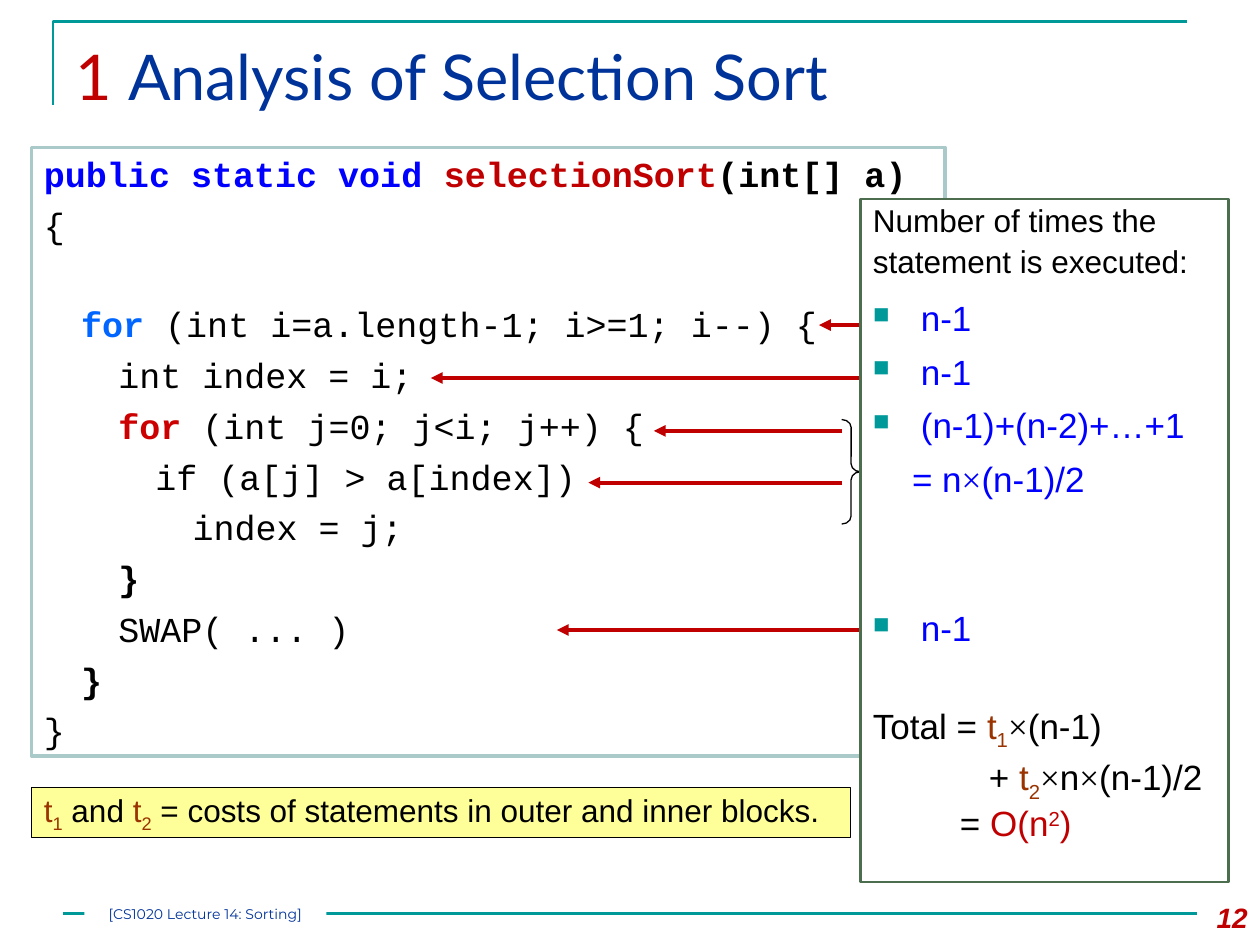
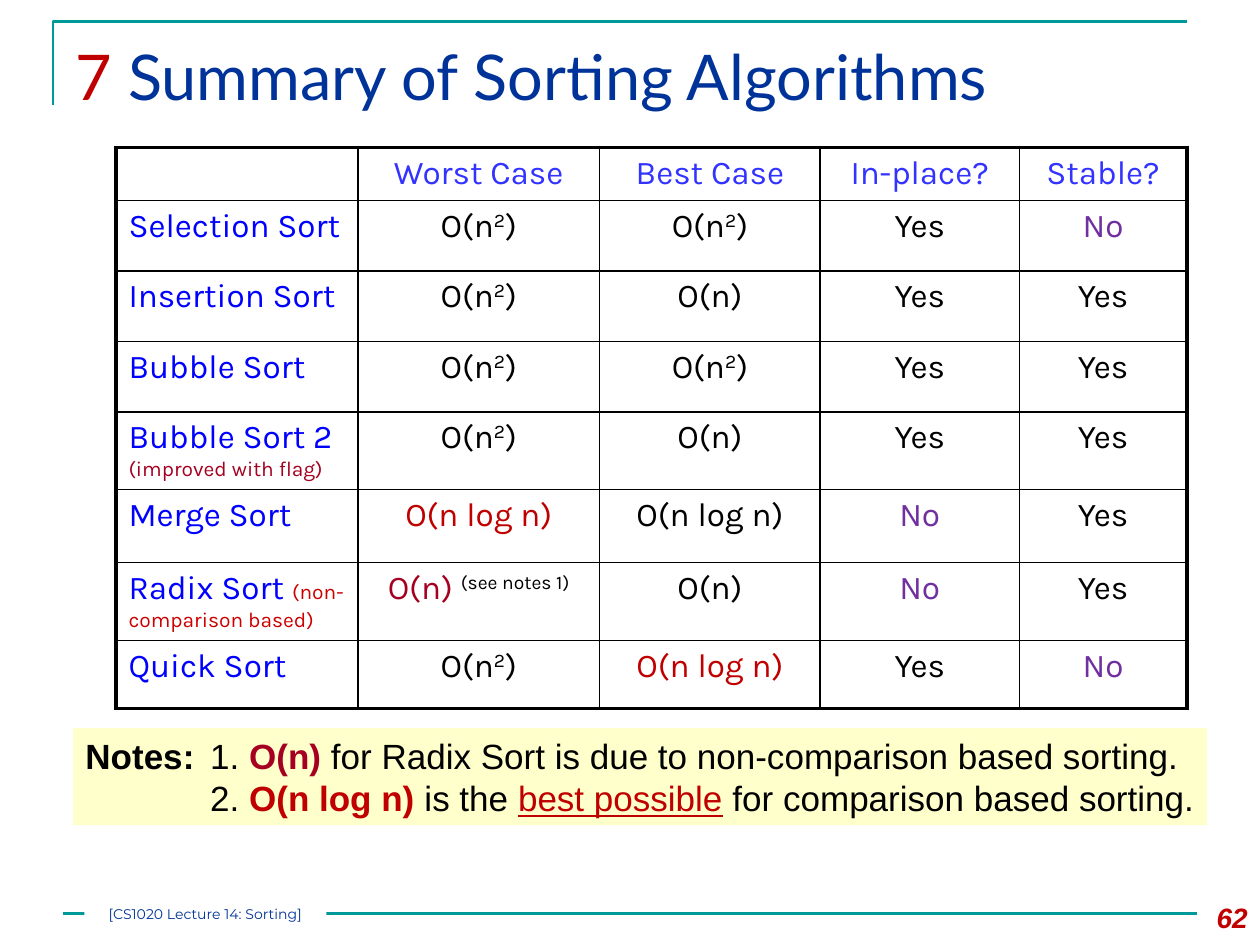
"""Build two lecture slides on sorting: a cost analysis and a summary table."""
from lxml.etree import SubElement as Sub
from pptx import Presentation
from pptx.dml.color import RGBColor as Rgb
from pptx.enum.shapes import MSO_CONNECTOR as Link, MSO_SHAPE as Shape
from pptx.enum.text import MSO_ANCHOR as Anchor, PP_ALIGN as Align
from pptx.oxml.ns import qn
from pptx.util import Inches, Pt


class Theme:
    teal, navy, red, black, white = "009999", "003399", "C00000", "000000", "FFFFFF"
    blue, sky, scarlet, wine, rust = "0000FF", "0066FF", "CC0000", "A50021", "993300"
    violet, head, mist, moss = "7030A0", "3333FF", "AACACA", "4C6D4E"
    lemon, cream = "FFFF99", "FFFFCC"
    sans, mono, serif = "Arial", "Courier New", "Times New Roman"
    title, grid, foot = "Lato", "Karla", "Montserrat"
    big, body, cell, note, page, small, tiny = 36, 20, 19, 18, 16, 12, 8


FOOT = "[CS1020 Lecture 14: Sorting]"
TIMES = ("×", "serif")
T1 = [("t", "rust"), ("1", "rust sub")]
T2 = [("t", "rust"), ("2", "rust sub")]

CODE = [
    (0, 0, [("public static void ", "blue bold"), ("selectionSort", "red bold"),
            ("(int[] a)", "bold")]),
    (0, 5, ["{"]),
    (1, 33, [("for", "sky bold"), " (int i=a.length-1; i>=1; i--) {"]),
    (2, 5, ["int index = i;"]),
    (2, 5, [("for", "scarlet bold"), " (int j=0; j<i; j++) {"]),
    (3, 5, ["if (a[j] > a[index])"]),
    (4, 5, ["index = j;"]),
    (2, 5, [("}", "bold")]),
    (2, 5, ["SWAP( ... )"]),
    (1, 5, [("}", "bold")]),
    (0, 5, ["}"]),
]
ARROWS = [(6.92, 6.5, 2.58), (6.92, 3.42, 3), (6.83, 4.42, 5),
          (6.68, 5.19, 3.42), (6.68, 4.67, 3.83)]

LEAD = dict(size=Theme.note, lines=0.9)
STEP = dict(ink="blue", bullet=True)
COUNTS = [
    (["Number of times the"], LEAD),
    (["statement is executed:"], dict(LEAD, before=4)),
    (["n-1"], dict(STEP, before=9.5)),
    (["n-1"], dict(STEP, before=6.5)),
    (["(n-1)+(n-2)+…+1"], dict(STEP, before=6.5)),
    (["= n", TIMES, "(n-1)/2"], dict(ink="blue", left=0.31, before=6.5)),
    (["n-1"], dict(STEP, before=61.5)),
    (["Total = ", *T1, TIMES, "(n-1)"], dict(lines=0.9, before=32)),
    (["+ ", *T2, TIMES, "n", TIMES, "(n-1)/2"], dict(lines=0.9, left=0.92, before=5)),
    (["= ", ("O(n", "red"), ("2", "red sup"), (")", "red")],
     dict(lines=0.9, left=0.69, before=4)),
]
COSTS = [*T1, " and ", *T2, " = costs of statements in outer and inner blocks."]

SQUARE = ["O(n", ("2", "sup"), ")"]
LINEAR, NLOGN, BEST = ["O(n)"], ["O(n log n)"], [("O(n log n)", "red")]
YES, NO = ["Yes"], [("No", "violet")]
HEADS = ["", "Worst Case", "Best Case", "In-place?", "Stable?"]
SORTS = [
    (["Selection Sort"], SQUARE, SQUARE, YES, NO),
    (["Insertion Sort"], SQUARE, LINEAR, YES, YES),
    (["Bubble Sort"], SQUARE, SQUARE, YES, YES),
    (["Bubble Sort 2 ", ("(improved with flag)", "wine small")],
     SQUARE, LINEAR, YES, YES),
    (["Merge Sort"], BEST, NLOGN, NO, YES),
    (["Radix Sort ", ("(non-comparison based)", "scarlet small")],
     [("O(n) ", "wine"), ("(see notes 1)", "sup")], LINEAR, NO, YES),
    (["Quick Sort"], SQUARE, BEST, YES, NO),
]
WIDTHS = [1.92, 1.92, 1.75, 1.58, 1.33]
HEIGHTS = [0.42, 0.56, 0.56, 0.56, 0.6, 0.58, 0.61, 0.54]
NOTES = [
    ([("Notes:\t", "bold"), "1. ", ("O(n)", "wine bold"),
      " for Radix Sort is due to non-comparison based sorting."], dict(tab=0.99)),
    (["2. ", ("O(n log n) ", "red bold"), "is the ", ("best possible", "red under"),
      " for comparison based sorting."], dict(left=0.99)),
]


def tint(name):
    return Rgb.from_string(getattr(Theme, name))


def style(font, marks):
    for mark in marks.split():
        if mark == "bold":
            font.bold = True
        elif mark == "under":
            font.underline = True
        elif mark in ("sub", "sup"):
            font._element.set("baseline", "-25000" if mark == "sub" else "30000")
        elif mark == "small":
            font.size = Pt(Theme.small)
        elif mark == "serif":
            font.name = Theme.serif
        else:
            font.color.rgb = tint(mark)


def write(para, runs, ink="black", face="sans", size=Theme.body, align=None,
          left=0, before=0, lines=None, bullet=False, tab=None):
    props = para._p.get_or_add_pPr()
    if bullet:
        left = 0.38
        props.set("indent", str(-Inches(left)))
        color = Sub(props, qn("a:buClr"))
        Sub(color, qn("a:srgbClr"), val=Theme.teal)
        Sub(props, qn("a:buSzPct"), val="65000")
        Sub(props, qn("a:buChar"), char="■")
    if left:
        props.set("marL", str(Inches(left)))
    if tab:
        stops = Sub(props, qn("a:tabLst"))
        Sub(stops, qn("a:tab"), pos=str(Inches(tab)), algn="l")
    para.alignment = align or Align.LEFT
    if before:
        para.space_before = Pt(before)
    if lines:
        para.line_spacing = lines
    font = para.font
    font.name, font.size = getattr(Theme, face), Pt(size)
    font.color.rgb = tint(ink)
    for item in runs:
        text, marks = (item, "") if isinstance(item, str) else item
        run = para.add_run()
        run.text = text
        style(run.font, marks)


def fill_text(frame, rows, anchor=Anchor.TOP):
    frame.word_wrap = True
    frame.vertical_anchor = anchor
    for num, (runs, opts) in enumerate(rows):
        para = frame.add_paragraph() if num else frame.paragraphs[0]
        write(para, runs, **opts)
    return frame


def label(slide, box, runs, **opts):
    shape = slide.shapes.add_textbox(*map(Inches, box))
    return fill_text(shape.text_frame, [(runs, opts)])


def panel(slide, box, fill, line, width, rows, anchor=Anchor.TOP):
    shape = slide.shapes.add_shape(Shape.RECTANGLE, *map(Inches, box))
    shape.shadow.inherit = False
    shape.fill.solid()
    shape.fill.fore_color.rgb = tint(fill)
    edge(shape, line, width)
    return fill_text(shape.text_frame, rows, anchor)


def edge(shape, color, width):
    if color:
        shape.line.color.rgb = tint(color)
        shape.line.width = Pt(width)
    else:
        shape.line.fill.background()


def rule(slide, start, end, color, width, arrow=False):
    line = slide.shapes.add_connector(Link.STRAIGHT, *map(Inches, start + end))
    edge(line, color, width)
    if arrow:
        Sub(line.line._get_or_add_ln(), qn("a:tailEnd"), type="triangle")
    Sub(line._element.spPr, qn("a:effectLst"))


def frame_slide(deck, num, title, page):
    slide = deck.slides.add_slide(deck.slide_layouts[6])
    pen = slide.shapes.build_freeform(Inches(0.42), Inches(0.83))
    pen.add_line_segments([(Inches(0.42), Inches(0.17)),
                           (Inches(9.42), Inches(0.17))], close=False)
    corner = pen.convert_to_shape()
    corner.shadow.inherit = False
    corner.fill.background()
    edge(corner, "teal", 1.5)
    rule(slide, (0.5, 7.25), (9.5, 7.25), "teal", 1.5)
    label(slide, (0.5, 0.25, 9, 0.86), [(num + " ", "red"), title],
          ink="navy", face="title", size=Theme.big)
    number = label(slide, (9.33, 7.1, 0.67, 0.4), [page], ink="red",
                   size=Theme.page, align=Align.RIGHT)
    number.paragraphs[0].font.bold = number.paragraphs[0].font.italic = True
    foot = dict(ink="navy", face="foot", size=Theme.tiny, align=Align.CENTER)
    text = panel(slide, (0.67, 7.17, 1.92, 0.17), "white", None, 0,
                 [([FOOT], foot)], Anchor.MIDDLE)
    text.margin_left = text.margin_right = text.margin_top = text.margin_bottom = 0
    return slide


def analysis(deck):
    slide = frame_slide(deck, "1", "Analysis of Selection Sort", "12")
    rows = [(runs, dict(face="mono", left=level * 1.18 / 4, before=gap))
            for level, gap, runs in CODE]
    panel(slide, (0.25, 1.17, 7.25, 4.83), "white", "mist", 2, rows, Anchor.MIDDLE)
    for start, end, y in ARROWS:
        rule(slide, (start, y), (end, y), "red", 2.25, arrow=True)
    brace = slide.shapes.add_shape(Shape.RIGHT_BRACE,
                                   *map(Inches, (6.68, 3.33, 0.15, 0.83)))
    brace.shadow.inherit = False
    brace.fill.background()
    brace.adjustments[0] = 0.42
    edge(brace, "black", 0.75)
    panel(slide, (6.83, 1.58, 2.92, 5.42), "white", "moss", 1.5, COUNTS)
    panel(slide, (0.25, 6.25, 6.5, 0.4), "lemon", "black", 0.75,
          [(COSTS, dict(size=Theme.note))], Anchor.MIDDLE)


def border(cell, thick):
    props = cell._tc.get_or_add_tcPr()
    for side in "LRTB":
        width = Pt(2.25 if side in thick else 1)
        line = Sub(props, qn("a:ln" + side), w=str(width))
        Sub(Sub(line, qn("a:solidFill")), qn("a:srgbClr"), val=Theme.black)
    cell.fill.background()


def summary(deck):
    slide = frame_slide(deck, "7", "Summary of Sorting Algorithms", "62")
    rows = [[[text] if text else [] for text in HEADS], *SORTS]
    box = (0.92, 1.17, sum(WIDTHS), sum(HEIGHTS))
    table = slide.shapes.add_table(len(rows), len(HEADS), *map(Inches, box)).table
    table.first_row = table.horz_banding = False
    for col, width in zip(table.columns, WIDTHS):
        col.width = Inches(width)
    for row, height in zip(table.rows, HEIGHTS):
        row.height = Inches(height)
    for y, row in enumerate(rows):
        for x, runs in enumerate(row):
            cell = table.cell(y, x)
            ends = {"L": x == 0, "R": x == len(row) - 1,
                    "T": y == 0, "B": y == len(rows) - 1}
            border(cell, [side for side, hit in ends.items() if hit])
            ink = "head" if y == 0 else "black" if x else "blue"
            write(cell.text_frame.paragraphs[0], runs, ink=ink, face="grid",
                  size=Theme.cell, align=Align.CENTER if x else Align.LEFT)
    notes = panel(slide, (0.58, 5.78, 9, 0.77), "cream", None, 0, NOTES, Anchor.MIDDLE)
    notes.margin_right = 0


def main():
    deck = Presentation()
    deck.slide_width, deck.slide_height = Inches(10), Inches(7.5)
    analysis(deck)
    summary(deck)
    deck.save("out.pptx")


if __name__ == "__main__":
    main()
